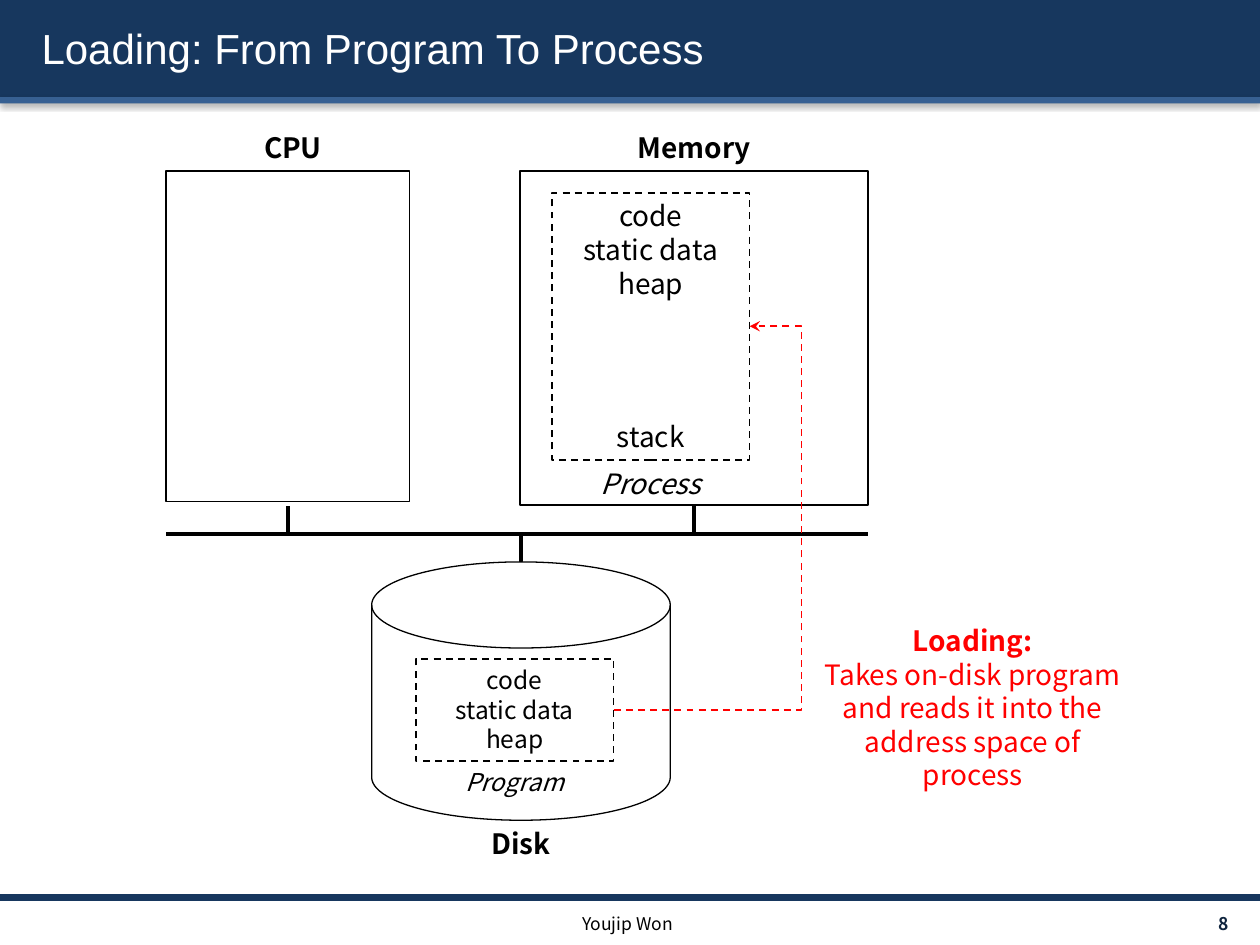
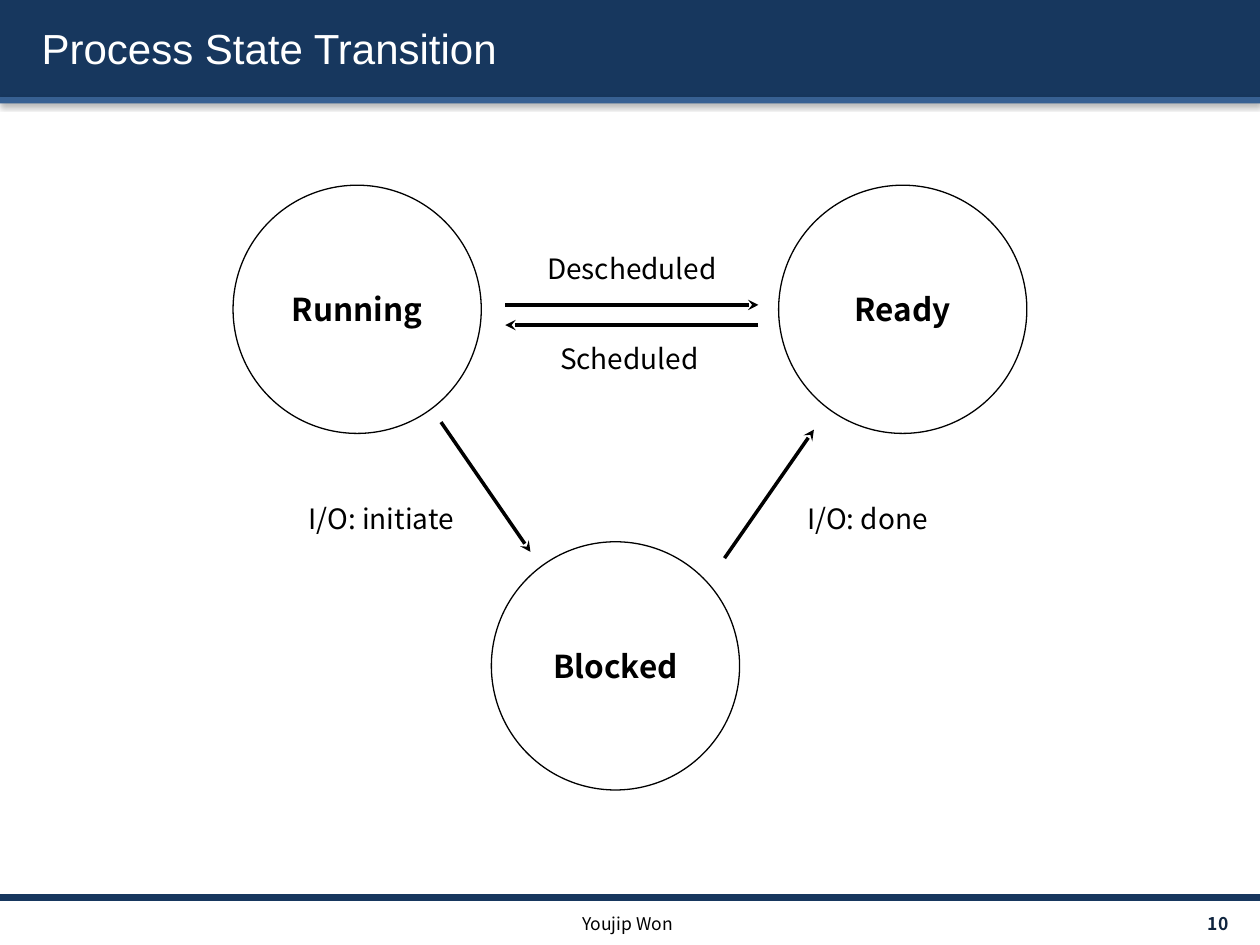
from collections import namedtuple
from lxml import etree
from pptx import Presentation
from pptx import util as u
from pptx.dml.color import RGBColor
from pptx.enum import dml, shapes, text
from pptx.oxml.ns import qn

COLS, ROWS = 100, 75          # grid cells across and down the slide
CELL = u.Inches(0.1)
SANS, HEAD = "Noto Sans CJK KR", "Arial"
NAVY, BLUE, DARK = "17375E", "376092", "0F243E"
BLACK, WHITE, RED = "000000", "FFFFFF", "FF0000"
LABEL_W, LABEL_H = 15.7, 3.7
KIND, LINK = shapes.MSO_SHAPE, shapes.MSO_CONNECTOR
LEFT, MID, RIGHT = text.PP_ALIGN.LEFT, text.PP_ALIGN.CENTER, text.PP_ALIGN.RIGHT


class Box(namedtuple("Box", "x y w h")):
    """A rectangle in grid cells."""

    def sub(self, x, y, w, h):
        return Box(self.x + x, self.y + y, w, h)

    def point(self, x, y):
        """The point at shares x and y of the box."""
        return self.x + x * self.w, self.y + y * self.h

    def emu(self):
        return [emu(v) for v in self]


PAGE = Box(0, 0, COLS, ROWS)


def emu(cells):
    return u.Emu(round(cells * CELL))


def color(code):
    return RGBColor.from_string(code)


def add_glow(parent, blur, dist, alpha):
    """Adds a black shadow that falls straight down."""
    fx = etree.SubElement(parent, qn("a:effectLst"))
    shade = etree.SubElement(fx, qn("a:outerShdw"), blurRad=str(u.Pt(blur)),
                             dist=str(u.Pt(dist)), dir="5400000", rotWithShape="0")
    tone = etree.SubElement(shade, qn("a:srgbClr"), val=BLACK)
    etree.SubElement(tone, qn("a:alpha"), val=str(alpha * 1000))


def set_font(par, size, tone=BLACK, bold=False, italic=False, face=SANS, align=MID):
    par.alignment = align
    font = par.font
    font.name, font.size = face, u.Pt(size)
    font.bold, font.italic = bold, italic
    font.color.rgb = color(tone)


def add_text(slide, box, lines, size=16, anchor=text.MSO_ANCHOR.TOP, **style):
    frame = slide.shapes.add_textbox(*box.emu()).text_frame
    frame.word_wrap = True
    frame.vertical_anchor = anchor
    frame.text = lines
    for par in frame.paragraphs:
        set_font(par, size, **style)
    return frame


def add_label(slide, mid, top, words, **style):
    add_text(slide, Box(mid - LABEL_W / 2, top, LABEL_W, LABEL_H), words, **style)


def add_shape(slide, box, kind=KIND.RECTANGLE, fill=WHITE, width=1, dash=False):
    shape = slide.shapes.add_shape(kind, *box.emu())
    shape.shadow.inherit = False
    shape.fill.solid()
    shape.fill.fore_color.rgb = color(fill)
    if width:
        set_line(shape.line, width, BLACK, dash)
    else:
        shape.line.fill.background()
    return shape


def set_line(line, width, tone, dash):
    line.width = u.Pt(width)
    line.color.rgb = color(tone)
    if dash:
        line.dash_style = dml.MSO_LINE.DASH


def add_line(slide, start, end, tone=BLACK, width=2, dash=False, arrow=False, bend=None):
    """Draws a line; bend is the share of its width at which an elbow turns."""
    kind = LINK.ELBOW if bend else LINK.STRAIGHT
    link = slide.shapes.add_connector(kind, *map(emu, (*start, *end)))
    set_line(link.line, width, tone, dash)
    props = link.element.spPr
    if arrow:
        etree.SubElement(props.find(qn("a:ln")), qn("a:tailEnd"), type="stealth")
    if bend:
        guides = props.find(qn("a:prstGeom")).find(qn("a:avLst"))
        etree.SubElement(guides, qn("a:gd"), name="adj1",
                         fmla=f"val {round(bend * 100000)}")
    etree.SubElement(props, qn("a:effectLst"))


def add_head(slide, box, words):
    for y, h, fill in ((0, 7.7, NAVY), (7.7, 0.5, BLUE)):
        band = add_shape(slide, box.sub(0, y, box.w, h), fill=fill, width=0)
        props = band.element.spPr
        props.remove(props.find(qn("a:effectLst")))
        add_glow(props, 3.1, 1.6, 38)
    title = slide.shapes.title
    title.left, title.top, title.width, title.height = box.sub(2.3, 0.6, 96.1, 6.4).emu()
    title.element.getparent().append(title.element)
    frame = title.text_frame
    frame.text = words
    frame.vertical_anchor = text.MSO_ANCHOR.MIDDLE
    par = frame.paragraphs[0]
    set_font(par, 24, WHITE, face=HEAD, align=LEFT)
    add_glow(par.runs[0]._r.get_or_add_rPr(), 2, 2, 100)


def add_foot(slide, box, number):
    for y in (0.3, 0):
        add_line(slide, (box.x, box.y + y), (box.x + box.w, box.y + y), NAVY)
    add_text(slide, box.sub(87.1, 1, 11.7, 2.4), f"{number} ", 10,
             text.MSO_ANCHOR.MIDDLE, tone=DARK, bold=True, align=RIGHT)
    add_text(slide, box.sub(33.2, 0.9, 33.2, 2.4), "Youjip Won", 10)


def add_page(deck, words, number):
    slide = deck.slides.add_slide(deck.slide_layouts[5])
    add_head(slide, PAGE.sub(0, 0, COLS, 8.2), words)
    add_foot(slide, PAGE.sub(0, 71.1, COLS, 3.9), number)
    return slide


def add_image(slide, box, name, size):
    """Draws a dashed memory image with its parts, and its name below."""
    add_shape(slide, box, dash=True)
    add_text(slide, box, "code\nstatic data\nheap", size)
    add_label(slide, box.x + box.w / 2, box.y + box.h, name, size=size, italic=True)


def add_memory(slide, box):
    add_shape(slide, box)
    add_label(slide, box.point(0.5, 0)[0], box.y - LABEL_H, "Memory", bold=True)
    image = box.sub(2.5, 1.7, LABEL_W, 21.2)
    add_image(slide, image, "Process", 16)
    add_label(slide, image.point(0.5, 0)[0], image.y + image.h - LABEL_H, "stack")
    return image


def add_disk(slide, box):
    add_shape(slide, box, KIND.FLOWCHART_MAGNETIC_DISK, width=0.75)
    image = box.sub(3.5, 7.7, LABEL_W, 8.1)
    add_image(slide, image, "Program", 14)
    add_label(slide, box.point(0.5, 0)[0], box.y + box.h, "Disk", bold=True)
    return image


def add_cpu(slide, box):
    add_shape(slide, box)
    add_label(slide, box.point(0.5, 0)[0] + 0.4, box.y - LABEL_H, "CPU", bold=True)


def add_bus(slide, box, stubs):
    """Draws the bus at mid height, with stubs as (x, side) pairs."""
    mid = box.y + box.h / 2
    add_line(slide, (box.x, mid), (box.x + box.w, mid))
    for x, side in stubs:
        add_line(slide, (x, mid), (x, mid + side * box.h / 2))


def add_note(slide, box):
    frame = add_text(slide, box, "Loading:\nTakes on-disk program\n"
                     "and reads it into the address space of process", tone=RED)
    frame.paragraphs[0].font.bold = True


def draw_loading(slide, box):
    cpu = box.sub(0, 0, 19.3, 26.2)
    memory = box.sub(28.1, 0, 27.6, 26.5)
    disk = box.sub(16.3, 31, 23.7, 20.5)
    process = add_memory(slide, memory)
    add_bus(slide, box.sub(0, 26.6, box.w, 4.4),
            [(cpu.point(0.5, 0)[0], -1), (memory.point(0.5, 0)[0], -1),
             (disk.point(0.5, 0)[0], 1)])
    program = add_disk(slide, disk)
    add_cpu(slide, cpu)
    add_line(slide, program.point(1, 0.5), process.point(1, 0.5), RED, 1,
             dash=True, arrow=True, bend=1.38)
    add_note(slide, box.sub(51, 35.4, 26, 14.5))


def add_state(slide, box, name):
    frame = add_shape(slide, box, KIND.OVAL, width=0.75).text_frame
    frame.margin_left = frame.margin_right = 0
    frame.vertical_anchor = text.MSO_ANCHOR.MIDDLE
    frame.text = name
    set_font(frame.paragraphs[0], 18, bold=True)


def draw_states(slide, box):
    size = 19.7
    for x, y, name in ((0, 0, "Running"), (box.w - size, 0, "Ready"),
                       (20.5, box.h - size, "Blocked")):
        add_state(slide, box.sub(x, y, size, size), name)
    # start, end, label centre and top, label
    moves = [((21.6, 9.5), (41.7, 9.5), (31.65, 4.8), "Descheduled"),
             ((41.7, 11.1), (21.6, 11.1), (31.45, 11.9), "Scheduled"),
             ((16.5, 18.8), (23.6, 29.1), (11.75, 24.6), "I/O: initiate"),
             ((39, 29.6), (46.1, 19.4), (50.35, 24.6), "I/O: done")]
    for start, end, spot, name in moves:
        ends = [(box.x + x, box.y + y) for x, y in (start, end)]
        add_line(slide, *ends, arrow=True)
        add_label(slide, box.x + spot[0], box.y + spot[1], name)


def main():
    deck = Presentation()
    deck.slide_width, deck.slide_height = emu(COLS), emu(ROWS)
    draw_loading(add_page(deck, "Loading: From Program To Process", 8),
                 PAGE.sub(13.2, 13.6, 55.7, 51.5))
    draw_states(add_page(deck, "Process State Transition", 10),
                PAGE.sub(18.5, 14.7, 63, 48))
    deck.save("out.pptx")


if __name__ == "__main__":
    main()
